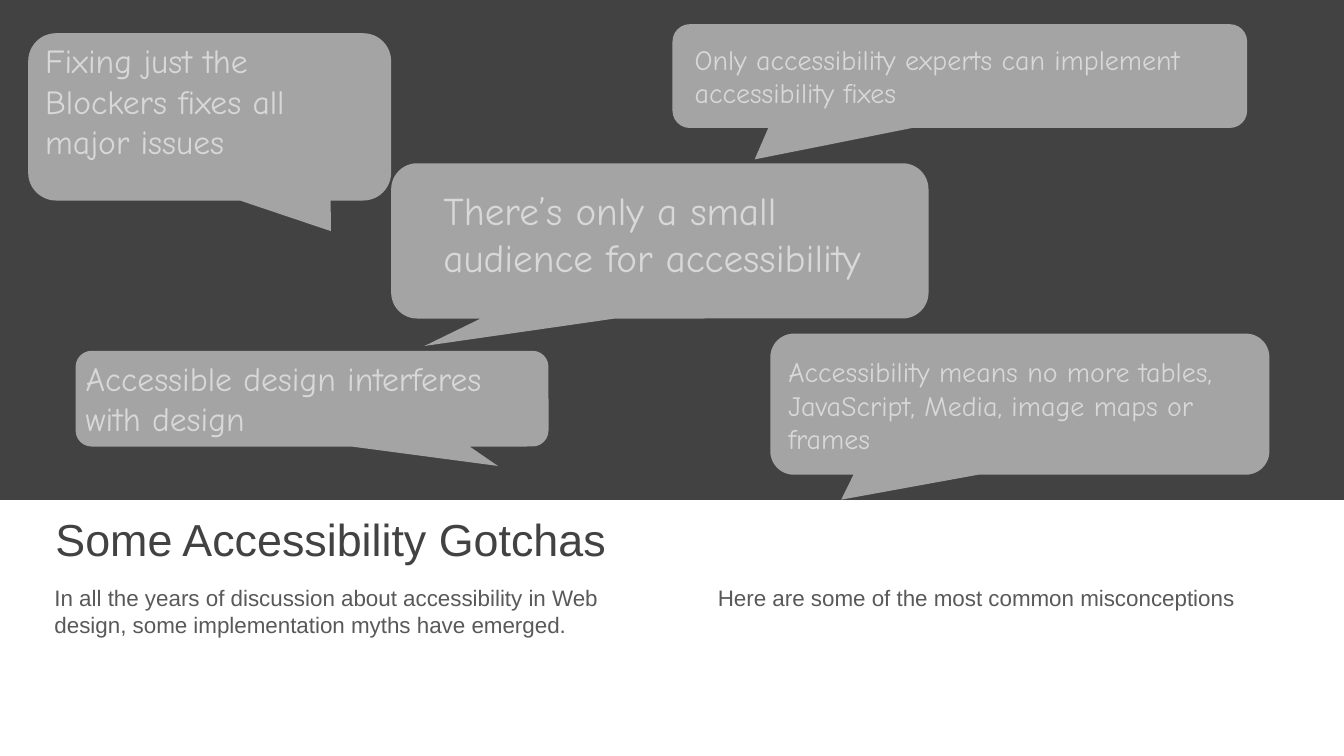
from lxml import etree
from pptx import Presentation
from pptx import util as u
from pptx.dml.color import RGBColor
from pptx.enum import shapes, text
from pptx.oxml.ns import qn

PX = 9144
COLORS = {"panel": "424242", "bubble": "FFFFFF", "quote": "D8D8D8",
          "title": "424242", "body": "595959"}

prs = Presentation()
prs.slide_width, prs.slide_height = 1333 * PX, 750 * PX
s = prs.slides.add_slide(prs.slide_layouts[6])


def add_filled(kind, box, color):
    sp = s.shapes.add_shape(kind, *(v * PX for v in box))
    sp.shadow.inherit = False
    sp.fill.solid()
    sp.fill.fore_color.rgb = RGBColor.from_string(COLORS[color])
    sp.line.fill.background()
    return sp


def add_text(box, lines, size, font, color, inset=(0, 0)):
    tf = s.shapes.add_textbox(*(v * PX for v in box)).text_frame
    tf.word_wrap = True
    tf.vertical_anchor = text.MSO_ANCHOR.TOP
    tf.margin_left = tf.margin_right = inset[0] * PX
    tf.margin_top = tf.margin_bottom = inset[1] * PX
    for i, line in enumerate(lines):
        p = tf.add_paragraph() if i else tf.paragraphs[0]
        r = p.add_run()
        r.text = line
        r.font.size = u.Pt(size)
        r.font.name = font
        r.font.color.rgb = RGBColor.from_string(COLORS[color])


add_filled(shapes.MSO_SHAPE.RECTANGLE, (0, 0, 1333, 496), "panel")

bubbles = [
    ((388, 162, 533, 154), (-0.438, 0.677)),
    ((667, 24, 570, 103), (-0.357, 0.803)),
    ((28, 33, 360, 166), (0.334, 0.683)),
    ((75, 348, 469, 95), (0.393, 0.703)),
    ((764, 331, 495, 140), (-0.358, 0.677)),
]
for box, tip in bubbles:
    sp = add_filled(shapes.MSO_SHAPE.ROUNDED_RECTANGULAR_CALLOUT, box, "bubble")
    sp.adjustments[0], sp.adjustments[1] = tip
    clr = sp.fill._xPr.find(qn("a:solidFill"))[0]
    etree.SubElement(clr, qn("a:alpha"), val="52000")

quotes = [
    ((430, 180, 490, 104), 28, ["There’s only a small audience for accessibility"]),
    ((679, 37, 581, 77), 20, ["Only accessibility experts can implement accessibility fixes"]),
    ((35, 35, 326, 131), 24, ["Fixing just the Blockers fixes all major issues"]),
    ((75, 350, 504, 91), 24, ["Accessible design interferes", "with design"]),
    ((772, 347, 464, 111), 20,
     ["Accessibility means no more tables, JavaScript, Media, image maps or frames"]),
]
for box, size, lines in quotes:
    add_text(box, lines, size, "Comic Neue", "quote", (10, 5))

add_text((55, 508, 733, 54), ["Some Accessibility Gotchas"], 32, "Arial", "title")
add_text((54, 580, 582, 54),
         ["In all the years of discussion about accessibility in Web design, "
          "some implementation myths have emerged."], 16, "Arial", "body")
add_text((712, 580, 568, 27),
         ["Here are some of the most common misconceptions"], 16, "Arial", "body")

prs.save("out.pptx")
